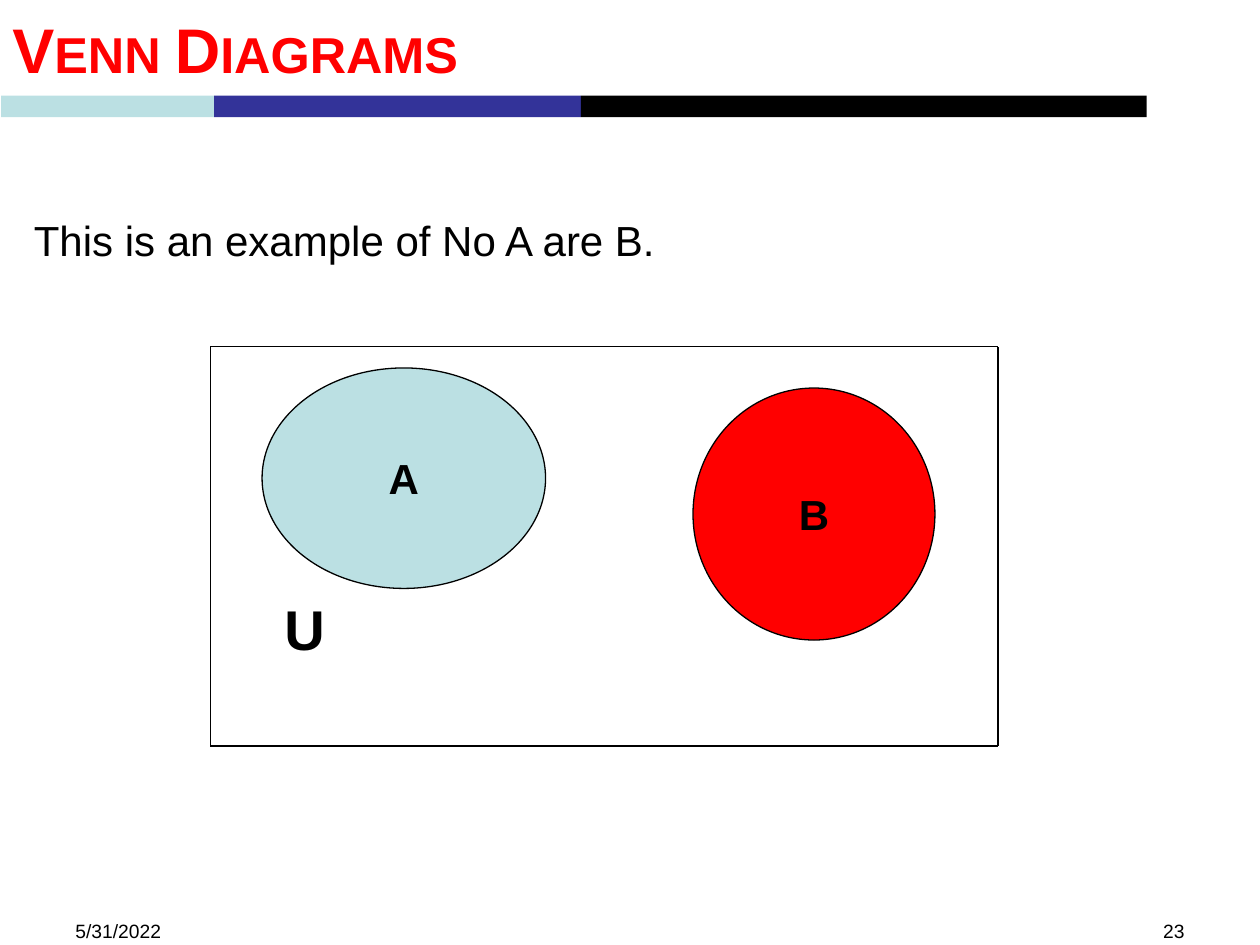
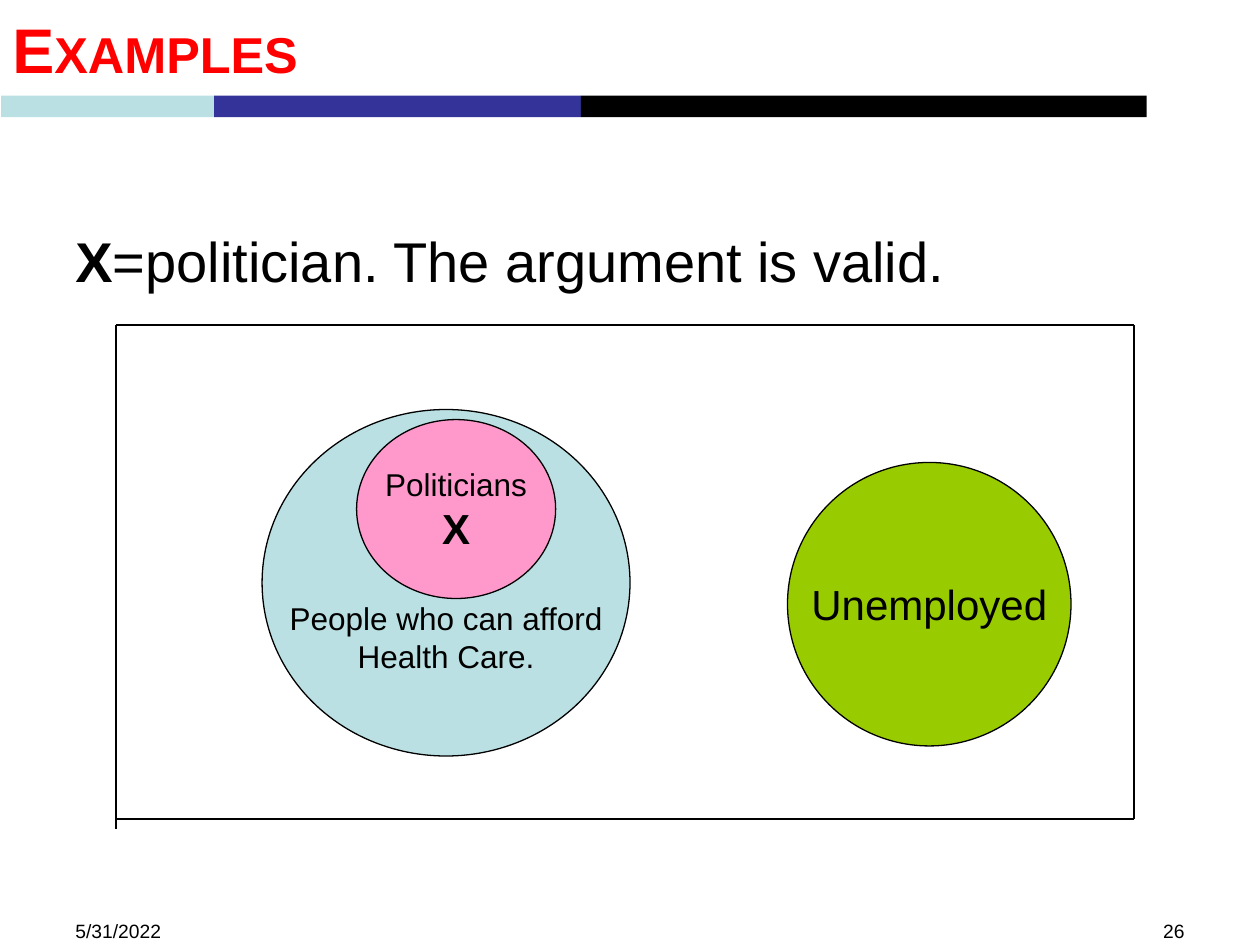
from dataclasses import dataclass
from typing import NamedTuple

from lxml.etree import SubElement
from pptx import Presentation
from pptx.dml.color import RGBColor
from pptx.enum.shapes import MSO_CONNECTOR as Connector, MSO_SHAPE as Shape
from pptx.enum.text import MSO_ANCHOR as Anchor, PP_ALIGN as Align
from pptx.oxml.ns import qn
from pptx.util import Inches, Pt


@dataclass(frozen=True)
class Theme:
    font: str = "Arial"
    black: str = "000000"
    red: str = "FF0000"
    pale_blue: str = "BBE0E3"
    indigo: str = "333399"
    pink: str = "FF99CC"
    green: str = "99CC00"
    title_size: int = 36
    large_size: int = 32
    medium_size: int = 24
    label_size: int = 18
    footer_size: int = 11
    outline_width: float = 0.75


class Box(NamedTuple):
    """Left, top, width and height in inches."""
    left: float
    top: float
    width: float
    height: float

    def inside(self, left, top, width, height):
        return Box(self.left + left, self.top + top, width, height)

    def lengths(self):
        return [Inches(value) for value in self]


class Words(NamedTuple):
    text: str
    size: int
    bold: bool = False


THEME = Theme()
TITLE_BOX = Box(0, 0, 9.1, 0.76)
BAND_BOX = Box(0.01, 0.76, 9.09, 0.17)
FOOTER_BOX = Box(0.5, 7.25, 9, 0.4)
FOOTER_PART_WIDTH = 2.33
DATE = "5/31/2022"


def add_run(paragraph, words, color=THEME.black):
    run = paragraph.add_run()
    run.text = words.text
    font = run.font
    font.name = THEME.font
    font.size = Pt(words.size)
    font.bold = words.bold
    font.color.rgb = RGBColor.from_string(color)
    return run


def add_text(slide, box, *runs, color=THEME.black, align=Align.LEFT,
             anchor=Anchor.TOP, space_before=0):
    frame = slide.shapes.add_textbox(*box.lengths()).text_frame
    frame.word_wrap = True
    frame.vertical_anchor = anchor
    paragraph = frame.paragraphs[0]
    paragraph.alignment = align
    paragraph.space_before = Pt(space_before)
    return [add_run(paragraph, words, color) for words in runs]


def add_filled_shape(slide, kind, box, color):
    shape = slide.shapes.add_shape(kind, *box.lengths())
    shape.shadow.inherit = False
    shape.fill.solid()
    shape.fill.fore_color.rgb = RGBColor.from_string(color)
    shape.line.fill.background()
    return shape


def add_title(slide, box, text):
    title = Words(text, THEME.title_size, True)
    for run in add_text(slide, box, title, color=THEME.red,
                        anchor=Anchor.MIDDLE, space_before=5):
        run.font._element.set("cap", "small")


def add_band(slide, box):
    left = 0
    for width, color in ((1.69, THEME.pale_blue), (2.91, THEME.indigo),
                         (4.49, THEME.black)):
        part = box.inside(left, 0, width, box.height)
        add_filled_shape(slide, Shape.RECTANGLE, part, color)
        left += width


def add_footer(slide, box, number):
    right = box.width - FOOTER_PART_WIDTH
    for left, text, align in ((0, DATE, Align.LEFT),
                              (right, str(number), Align.RIGHT)):
        part = box.inside(left, 0, FOOTER_PART_WIDTH, box.height)
        add_text(slide, part, Words(text, THEME.footer_size), align=align)


def add_statement(slide, box, *runs):
    add_text(slide, box, *runs, space_before=runs[0].size / 10)


def add_set(slide, box, color, *lines, top_margin=0.05):
    """Draw one set as an ellipse, with a centred paragraph for each line."""
    ellipse = add_filled_shape(slide, Shape.OVAL, box, color)
    ellipse.line.color.rgb = RGBColor.from_string(THEME.black)
    ellipse.line.width = Pt(THEME.outline_width)
    frame = ellipse.text_frame
    frame.word_wrap = False
    frame.vertical_anchor = Anchor.MIDDLE
    frame.margin_top = Inches(top_margin)
    for index, words in enumerate(lines):
        paragraph = frame.add_paragraph() if index else frame.paragraphs[0]
        paragraph.alignment = Align.CENTER
        add_run(paragraph, words)


def add_universe(slide, box, left_overhang=0):
    """Draw the four sides; the left one may run on below the corner."""
    left, top, width, height = box
    right, bottom = left + width, top + height
    for ends in ((left, top, left, bottom + left_overhang),
                 (left, bottom, right, bottom),
                 (right, bottom, right, top),
                 (left, top, right, top)):
        side = slide.shapes.add_connector(
            Connector.STRAIGHT, *[Inches(value) for value in ends])
        side.line.color.rgb = RGBColor.from_string(THEME.black)
        side.line.width = Pt(THEME.outline_width)
        SubElement(side._element.spPr, qn("a:effectLst"))


def add_base_slide(presentation, title, number):
    slide = presentation.slides.add_slide(presentation.slide_layouts[6])
    add_band(slide, BAND_BOX)
    add_title(slide, TITLE_BOX, title)
    add_footer(slide, FOOTER_BOX, number)
    return slide


def add_disjoint_sets(slide, box):
    add_text(slide, box.inside(0.49, 1.92, 1, 0.6),
             Words("U", THEME.large_size, True))
    add_set(slide, box.inside(0.41, 0.17, 2.25, 1.75), THEME.pale_blue,
            Words("A", THEME.medium_size, True))
    add_set(slide, box.inside(3.83, 0.33, 1.92, 2), THEME.red,
            Words("B", THEME.medium_size, True))
    add_universe(slide, box)


def add_health_care_sets(slide, box):
    add_set(slide, box.inside(1.16, 0.67, 2.92, 2.75), THEME.pale_blue,
            Words("People who can afford", THEME.label_size),
            Words("Health Care.", THEME.label_size), top_margin=0.91)
    add_set(slide, box.inside(1.91, 0.75, 1.58, 1.42), THEME.pink,
            Words("Politicians", THEME.label_size),
            Words("X", THEME.medium_size, True))
    add_set(slide, box.inside(5.33, 1.09, 2.25, 2.25), THEME.green,
            Words("Unemployed", THEME.medium_size))
    add_universe(slide, box, left_overhang=0.08)


def main():
    presentation = Presentation()
    presentation.slide_width = Inches(10)
    presentation.slide_height = Inches(7.5)

    venn_slide = add_base_slide(presentation, "Venn Diagrams", 23)
    add_statement(venn_slide, Box(0.17, 1.65, 9.58, 0.6),
                  Words("This is an example of No A are B.", THEME.medium_size))
    add_disjoint_sets(venn_slide, Box(1.67, 2.75, 6.25, 3.17))

    example_slide = add_base_slide(presentation, "Examples", 26)
    add_statement(example_slide, Box(0.5, 1.75, 9, 0.7),
                  Words("X", THEME.large_size, True),
                  Words("=politician. The argument is valid.", THEME.large_size))
    add_health_care_sets(example_slide, Box(0.92, 2.58, 8.08, 3.92))

    presentation.save("out.pptx")


if __name__ == "__main__":
    main()
